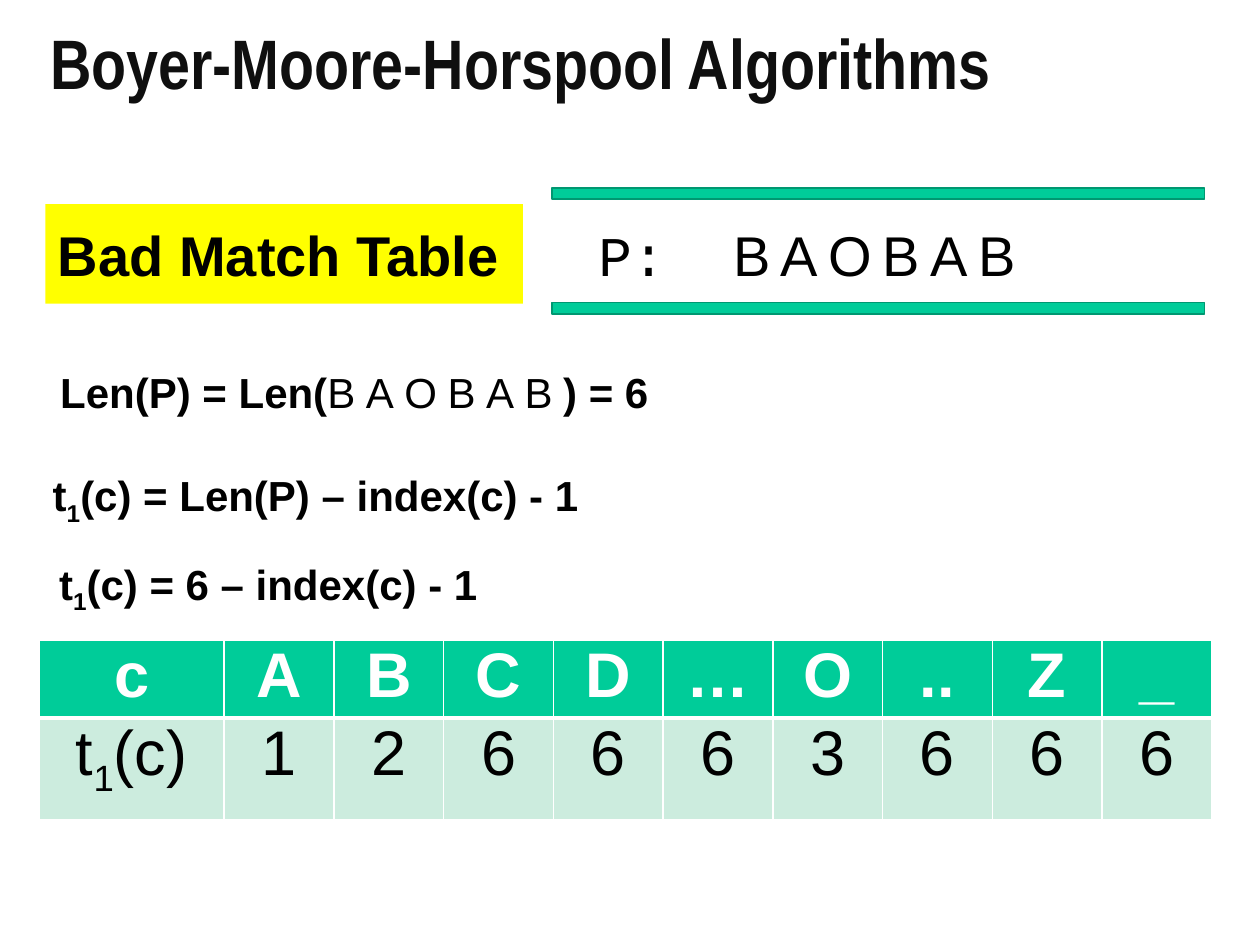
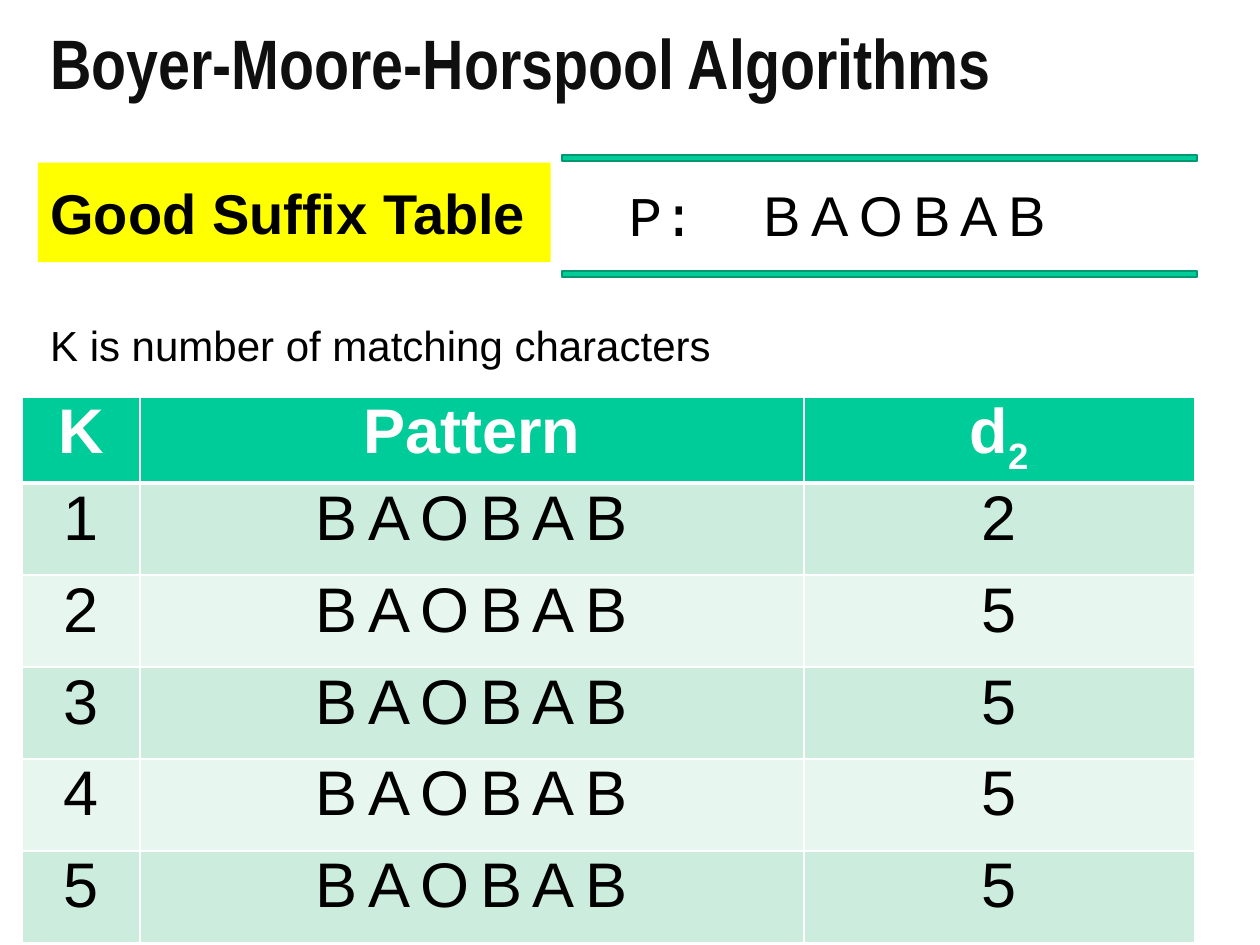
from lxml.etree import SubElement
from pptx import Presentation
from pptx.dml.color import RGBColor
from pptx.enum.shapes import MSO_SHAPE
from pptx.enum.text import MSO_ANCHOR, MSO_AUTO_SIZE, PP_ALIGN
from pptx.oxml.ns import qn
from pptx.util import Inches, Pt

RECT = MSO_SHAPE.RECTANGLE
MIDDLE = MSO_ANCHOR.MIDDLE
FIT, FIXED = MSO_AUTO_SIZE.SHAPE_TO_FIT_TEXT, MSO_AUTO_SIZE.NONE
LEFT, CENTER = PP_ALIGN.LEFT, PP_ALIGN.CENTER

BLACK, WHITE, INK = "000000", "FFFFFF", "0F0F0F"
YELLOW, GREEN, EDGE = "FFFF00", "00CC99", "009771"
BANDS = ["CCECDE", "E7F6EF"]
WORD = "BAOBAB"
GAP = 1.07


def paint(fill, tone):
    fill.solid()
    fill.fore_color.rgb = RGBColor.from_string(tone)


def write(para, text, size, tone=BLACK, bold=False, face="Arial", align=LEFT):
    para.alignment = align
    if "\t" in text:
        tabs = SubElement(para._p.get_or_add_pPr(), qn("a:tabLst"))
        SubElement(tabs, qn("a:tab"), pos=str(Inches(GAP)), algn="l")
    for part in text.split("|"):
        run = para.add_run()
        run.text = part.lstrip("~")
        font = run.font
        font.size = Pt(size)
        font.name = "Courier New" if part == "P:\t" else face
        font.bold = bold and part != WORD
        paint(font.fill, tone)
        if part == WORD:
            font._element.set("spc", "600")
        if part.startswith("~"):
            font._element.set("baseline", "-25000")


deck = Presentation()
deck.slide_width, deck.slide_height = Inches(10), Inches(7.5)
UNIT = deck.slide_width / 100

pages = [
    {
        "label": "Bad Match Table",
        "tag": (3.6, 16.2, 37.9, 7.9),
        "sample": (46.5, 17, 36.3, 6.4),
        "bars": [(43.8, top, 51.8, 0.9) for top in (14.9, 24)],
        "notes": [
            (f"Len(P) = Len(|{WORD}|) = 6", True, (3.8, 28.6, 92, 5)),
            ("t|~1|(c) = Len(P) – index(c) - 1", True, (3.2, 36.8, 92.8, 5)),
            ("t|~1|(c) = 6 – index(c) - 1", True, (3.7, 43.8, 39.1, 5)),
        ],
        "place": (3.1, 50.8, 93, 14.3),
        "cols": [14.7] + [8.71] * 9,
        "rows": [6.2, 8.1],
        "cells": [list("cABCD") + ["…", "O", "..", "Z", "_"],
                  ["t|~1|(c)"] + list("126663666")],
    },
    {
        "label": "Good Suffix Table",
        "tag": (3, 12.9, 40.7, 7.9),
        "sample": (48.9, 13.8, 36.3, 6.4),
        "bars": [(44.6, top, 50.4, 0.5) for top in (12.3, 21.5)],
        "notes": [("K is number of matching characters", False, (3, 24.9, 74, 5))],
        "place": (1.8, 31.5, 93, 42.5),
        "cols": [9.3, 52.7, 31],
        "rows": [5.4] + [7.3] * 5,
        "cells": [["K", "Pattern", "d|~2"]]
        + [[str(k + 1), WORD, d] for k, d in enumerate("25555")],
    },
]

for page in pages:
    slide = deck.slides.add_slide(deck.slide_layouts[5])
    shapes = slide.shapes

    tag = shapes.title
    tag.left, tag.top, tag.width, tag.height = [int(v * UNIT) for v in page["tag"]]
    paint(tag.fill, YELLOW)
    tag.text_frame.auto_size = FIXED
    tag.text_frame.vertical_anchor = MIDDLE
    write(tag.text_frame.paragraphs[0], page["label"], 32, bold=True)

    for spot in page["bars"]:
        bar = shapes.add_shape(RECT, *[int(v * UNIT) for v in spot])
        bar.shadow.inherit = False
        paint(bar.fill, GREEN)
        paint(bar.line.fill, EDGE)
        bar.line.width = Pt(1)

    texts = [
        ("Boyer-Moore-Horspool Algorithms", 40, INK, True, "Arial Narrow", (3, 1.1, 91.9, 7.7)),
        (f"P:\t|{WORD}", 32, BLACK, False, "Arial", page["sample"]),
    ]
    texts += [(text, 24, BLACK, bold, "Arial", spot) for text, bold, spot in page["notes"]]
    for text, size, tone, bold, face, spot in texts:
        frame = shapes.add_textbox(*[int(v * UNIT) for v in spot]).text_frame
        frame.word_wrap = True
        frame.auto_size = FIT
        write(frame.paragraphs[0], text, size, tone, bold, face)

    cells = page["cells"]
    spot = [int(v * UNIT) for v in page["place"]]
    table = shapes.add_table(len(cells), len(cells[0]), *spot).table
    for col, wide in zip(table.columns, page["cols"]):
        col.width = int(wide * UNIT)
    for row, high in zip(table.rows, page["rows"]):
        row.height = int(high * UNIT)
    for r, line in enumerate(cells):
        head = r == 0
        for c, text in enumerate(line):
            cell = table.cell(r, c)
            cell.margin_left = cell.margin_right = 0
            cell.margin_top = cell.margin_bottom = 0
            for side in "LRTB":
                thick = (r, side) in [(0, "B"), (1, "T")]
                props = cell._tc.get_or_add_tcPr()
                rule = SubElement(props, qn(f"a:ln{side}"), w=str(Pt(3 if thick else 1)))
                fill = SubElement(rule, qn("a:solidFill"))
                SubElement(fill, qn("a:srgbClr"), val=WHITE)
            paint(cell.fill, GREEN if head else BANDS[(r - 1) % 2])
            write(cell.text_frame.paragraphs[0], text, 36, WHITE if head else BLACK,
                  head, align=CENTER)

deck.save("out.pptx")
